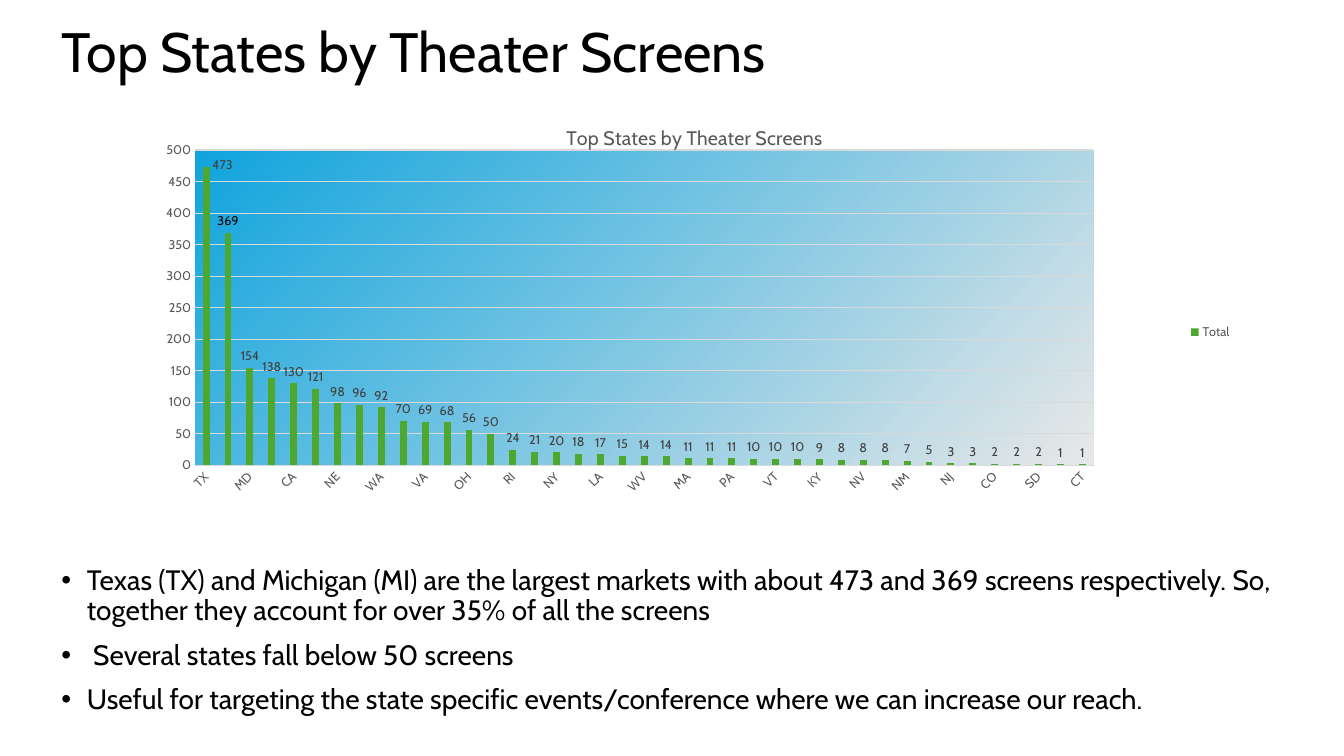
from lxml import etree
from pptx import Presentation
from pptx import util as u
from pptx.chart import data
from pptx.dml import color
from pptx.enum import chart as ch
from pptx.enum import text
from pptx.oxml import parse_xml
from pptx.oxml import ns

FONT = "Cabin"
HEADING = "Top States by Theater Screens"
STATES = ("TX MI MD ME CA IL NE FL WA MN VA IA OH MO RI MS NY WI LA SC WV NC MA UT PA IN VT GA KY OK NV "
          "Alberta,Canada NM TN NJ AK CO WY SD AZ CT").replace(",", ", ")
SCREENS = [473, 369, 154, 138, 130, 121, 98, 96, 92, 70, 69, 68, 56, 50, 24, 21, 20, 18, 17, 15, 14, 14,
           11, 11, 11, 10, 10, 10, 9, 8, 8, 8, 7, 5, 3, 3, 2, 2, 2, 1, 1]
FINDINGS = [
    "Texas (TX) and Michigan (MI) are the largest markets with about 473 and 369 screens respectively. "
    "So, together they account for over 35% of all the screens",
    " Several states fall below 50 screens",
    "Useful for targeting the state specific events/conference where we can increase our reach.",
]
BACKDROP = f"""<c:spPr {ns.nsdecls('c', 'a')}><a:gradFill><a:gsLst>
<a:gs pos="0"><a:srgbClr val="E8E8E8"/></a:gs><a:gs pos="100000"><a:srgbClr val="10A4DD"/></a:gs>
</a:gsLst><a:path path="circle"><a:fillToRect l="100000" t="100000"/></a:path></a:gradFill></c:spPr>"""


def rgb(value):
    return color.RGBColor.from_string(value)


def set_all(target, values):
    for name, value in values.items():
        setattr(target, name, value)


def style_font(font, size, shade):
    set_all(font, {"name": FONT, "size": u.Pt(size), "bold": False})
    font.color.rgb = rgb(shade)


def add_text(slide, box, lines, size, anchor, bullet=False):
    frame = slide.shapes.add_textbox(*map(u.Cm, box)).text_frame
    set_all(frame, {"word_wrap": True, "vertical_anchor": anchor})
    for index, line in enumerate(lines):
        paragraph = frame.paragraphs[0] if index == 0 else frame.add_paragraph()
        if bullet:
            props = paragraph._p.get_or_add_pPr()
            props.set("marL", str(u.Cm(0.64)))
            props.set("indent", str(u.Cm(-0.64)))
            etree.SubElement(props, ns.qn("a:buFont")).set("typeface", "Arial")
            etree.SubElement(props, ns.qn("a:buChar")).set("char", "•")
        paragraph.line_spacing = 0.9
        if index:
            paragraph.space_before = u.Pt(10)
        run = paragraph.add_run()
        run.text = line
        style_font(run.font, size, "000000")


def place(element, index, **values):
    for old in element.findall(ns.qn("c:layout")):
        element.remove(old)
    layout = parse_xml(f"<c:layout {ns.nsdecls('c')}><c:manualLayout/></c:layout>")
    for name, value in values.items():
        etree.SubElement(layout[0], ns.qn(f"c:{name}")).set("val", str(value))
    element.insert(index, layout)


def style_axes(chart):
    states, screens = chart.category_axis, chart.value_axis
    for axis in (states, screens):
        set_all(axis, {"major_tick_mark": ch.XL_TICK_MARK.NONE, "minor_tick_mark": ch.XL_TICK_MARK.NONE})
        style_font(axis.tick_labels.font, 9, "595959")
    set_all(screens, {"minimum_scale": 0, "maximum_scale": 500, "major_unit": 50,
                      "has_major_gridlines": True})
    screens.format.line.fill.background()
    for line in (states.format.line, screens.major_gridlines.format.line):
        line.color.rgb = rgb("D9D9D9")
        line.width = u.Pt(0.75)
    category = chart.element.xpath("//c:catAx")[0]
    category.xpath("c:txPr/a:bodyPr")[0].set("rot", "-2700000")
    skip = parse_xml(f"<c:tickLblSkip {ns.nsdecls('c')} val=\"2\"/>")
    category.find(ns.qn("c:noMultiLvlLbl")).addprevious(skip)


def style_bars(plot):
    set_all(plot, {"gap_width": 219, "overlap": -27, "vary_by_categories": False})
    total = plot.series[0]
    total.format.fill.solid()
    total.format.fill.fore_color.rgb = rgb("4EA72E")
    outside = ch.XL_LABEL_POSITION.OUTSIDE_END
    set_all(total.data_labels, {"show_value": True, "position": outside})
    style_font(total.data_labels.font, 9, "404040")
    texas, michigan = (total.points[i].data_label for i in range(2))
    style_font(texas.font, 9, "404040")
    texas.position = outside
    michigan.text_frame.text = "369"
    style_font(michigan.text_frame.paragraphs[0].runs[0].font, 9, "000000")
    michigan.position = outside


def add_screens_chart(slide):
    figures = data.CategoryChartData()
    figures.categories = [s.replace("Alberta,", "Alberta, Canada") for s in STATES.replace(", Canada", ",").split()]
    figures.add_series("Total", SCREENS)
    chart = slide.shapes.add_chart(ch.XL_CHART_TYPE.COLUMN_CLUSTERED,
                                   *map(u.Cm, (3.56, 2.59, 27.74, 11.56)), figures).chart
    style_font(chart.font, 10, "000000")
    set_all(chart, {"has_title": True, "has_legend": True})
    chart.chart_title.text_frame.text = HEADING
    style_font(chart.chart_title.text_frame.paragraphs[0].runs[0].font, 14, "595959")
    set_all(chart.legend, {"position": ch.XL_LEGEND_POSITION.RIGHT, "include_in_layout": False})
    style_font(chart.legend.font, 9, "595959")
    style_axes(chart)
    style_bars(chart.plots[0])
    area = chart.element.xpath("//c:plotArea")[0]
    area.append(parse_xml(BACKDROP))
    place(area, 0, layoutTarget="inner", xMode="edge", yMode="edge", x=0.049, y=0.103, w=0.816, h=0.687)
    place(chart.element.xpath("//c:title")[0], 1, xMode="edge", yMode="edge", x=0.383, y=0.04)
    place(chart.element.xpath("//c:dLbl")[0], 1, x=0.015, y=0.02)


def main():
    deck = Presentation()
    set_all(deck, {"slide_width": u.Cm(33.87), "slide_height": u.Cm(19.05)})
    slide = deck.slides.add_slide(deck.slide_layouts[6])
    add_text(slide, (1.3, 0.43, 29.21, 1.9), [HEADING], 39.6, text.MSO_ANCHOR.MIDDLE)
    add_text(slide, (1.3, 14.15, 31.95, 4.47), FINDINGS, 20, text.MSO_ANCHOR.TOP, bullet=True)
    add_screens_chart(slide)
    deck.save("out.pptx")


if __name__ == "__main__":
    main()
